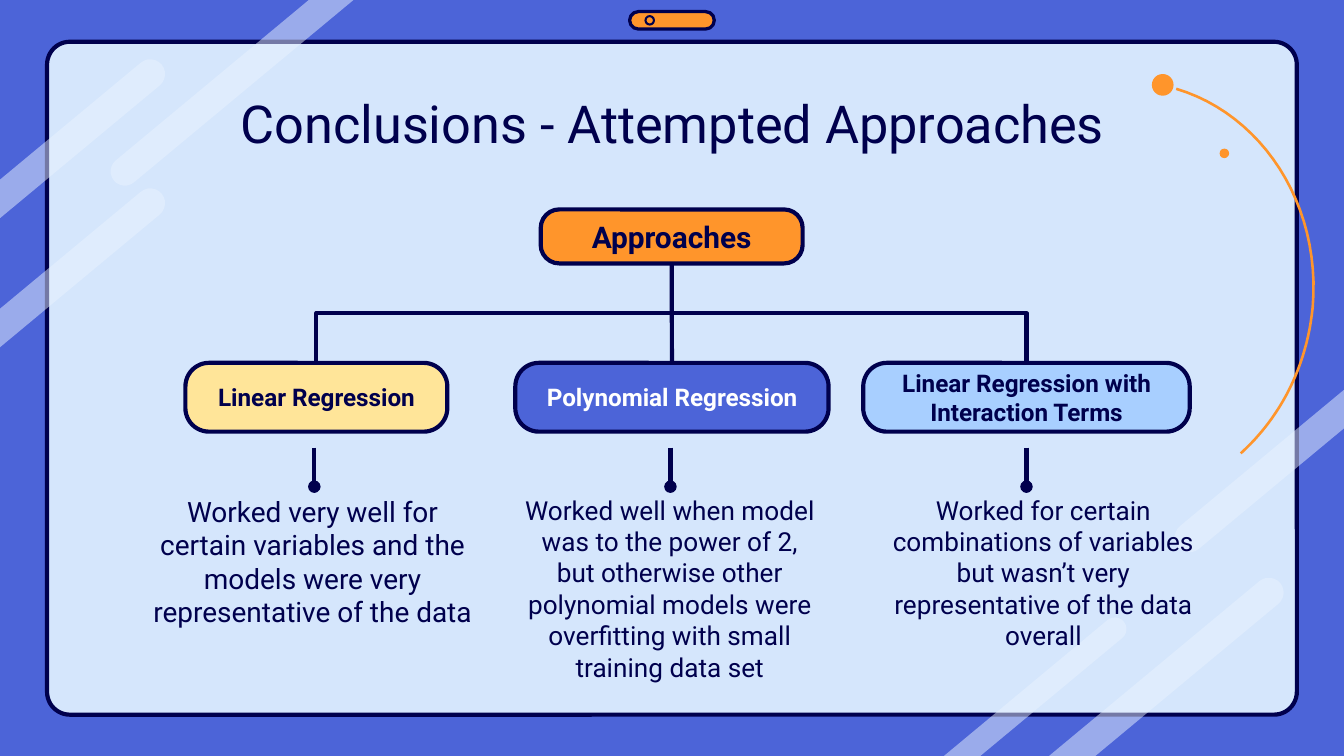
from math import atan2, cos, hypot, pi, sin

from lxml.etree import SubElement
from pptx import Presentation
from pptx.dml.color import RGBColor as Rgb
from pptx.enum.shapes import MSO_CONNECTOR as Link, MSO_SHAPE as Kind
from pptx.enum.text import MSO_ANCHOR as Anchor, PP_ALIGN as Align
from pptx.oxml.ns import qn
from pptx.util import Cm, Pt

HUES = {
    "navy": "00004D", "blue": "4C64D8", "pale": "D5E6FC", "ice": "E9F3FF",
    "orange": "FF952B", "cream": "FFE599", "sky": "A8CFFF", "white": "FFFFFF",
}
WIDE, HIGH = 25.4, 14.29
SLOPE = (0.77, -0.64)
FRAME = {"word_wrap": True, "margin_left": Cm(0.25), "margin_right": Cm(0.25),
         "margin_top": Cm(0.25), "margin_bottom": Cm(0.25)}


def hue(name):
    return Rgb.from_string(HUES[name])


def apply(item, look):
    for key, value in look.items():
        setattr(item, key, value)


def paint(shape, fill=None, line=None, width=2.25):
    shape.shadow.inherit = False
    if fill:
        shape.fill.solid()
        shape.fill.fore_color.rgb = hue(fill)
    else:
        shape.fill.background()
    if line:
        shape.line.color.rgb = hue(line)
        shape.line.width = Pt(width)
    else:
        shape.line.fill.background()
    return shape


def block(slide, kind, box, fill=None, line=None, width=2.25, round_=None):
    shape = slide.shapes.add_shape(kind, *map(Cm, box))
    if round_ is not None:
        shape.adjustments[0] = round_
    return paint(shape, fill, line, width)


def write(shape, text, size, color="navy", bold=False, anchor=Anchor.TOP):
    frame = shape.text_frame
    apply(frame, {**FRAME, "vertical_anchor": anchor})
    para = frame.paragraphs[0]
    para.alignment = Align.CENTER
    run = para.add_run()
    run.text = text
    apply(run.font, {"name": "Roboto", "size": Pt(size), "bold": bold})
    run.font.color.rgb = hue(color)


def label(slide, box, text, size):
    write(slide.shapes.add_textbox(*map(Cm, box)), text, size)


def trace(slide, points, close):
    spots = [(Cm(x), Cm(y)) for x, y in points]
    form = slide.shapes.build_freeform(*spots[0], scale=1.0)
    form.add_line_segments(spots[1:], close=close)
    return form.convert_to_shape()


def wire(slide, kind, start, end, dot=False):
    line = slide.shapes.add_connector(kind, *map(Cm, (*start, *end)))
    line.line.color.rgb = hue("navy")
    line.line.width = Pt(2.25)
    if dot:
        SubElement(line.line._get_or_add_ln(), qn("a:tailEnd"), type="oval")
    SubElement(line._element.spPr, qn("a:effectLst"))
    return line


def streak(slide, box, x, y, r, way):
    left, top, wide, high = box
    dx, dy = (part * way for part in SLOPE)
    edge_x = left + wide if dx > 0 else left
    edge_y = top + high if dy > 0 else top
    across = (edge_x - x) / dx < (edge_y - y) / dy
    turn = atan2(dy, dx) + pi / 2
    cap = [(x + r * cos(turn + pi * n / 12), y + r * sin(turn + pi * n / 12))
           for n in range(13)]

    def reach(spot):
        px, py = spot
        t = (edge_x - px) / dx if across else (edge_y - py) / dy
        return px + t * dx, py + t * dy

    shape = paint(trace(slide, [*cap, reach(cap[-1]), reach(cap[0])], True), "ice")
    tint = shape._element.spPr.find(qn("a:solidFill"))[0]
    SubElement(tint, qn("a:alpha"), val="50000")


def curve(a, b, c, d, steps=24):
    for n in range(steps + 1):
        t = n / steps
        u = 1 - t
        yield tuple(u**3 * p + 3 * u * u * t * q + 3 * u * t * t * r + t**3 * s
                    for p, q, r, s in zip(a, b, c, d))


def board(slide, box):
    left, top, wide, high = box
    block(slide, Kind.ROUNDED_RECTANGLE,
          (left + 0.89, top + 0.79, wide - 1.78, high - 1.57),
          "pale", "navy", round_=0.034)
    for mark in [(23.98, 11.2, 0.28, -1), (21.07, 11.89, 0.22, -1),
                 (2.36, 3.24, 0.27, 1), (2.84, 1.4, 0.28, -1),
                 (2.84, 3.84, 0.28, -1), (22.48, 10.16, 0.28, 1)]:
        x, y, r, way = mark
        streak(slide, box, left + x, top + y, r, way)


def clip(slide, box):
    left, top, _, high = box
    block(slide, Kind.ROUNDED_RECTANGLE, box, "orange", "navy", 1.75, 0.5)
    block(slide, Kind.OVAL, (left + 0.3, top + high / 2 - 0.08, 0.16, 0.16),
          None, "navy", 1.1)


def orbit(slide, box):
    left, top, _, _ = box
    parts = [[(0.46, 0.28), (2.07, 0.76), (3.2, 2.45), (3.04, 4.4)],
             [(3.04, 4.4), (2.93, 5.53), (2.43, 6.49), (1.68, 7.17)]]
    points = [(left + x, top + y) for part in parts for x, y in curve(*part)]
    paint(trace(slide, points, False), None, "orange", 1.4)
    block(slide, Kind.OVAL, (left, top, 0.41, 0.41), "orange")
    block(slide, Kind.OVAL, (left + 1.28, top + 1.41, 0.18, 0.18), "orange")


def node(slide, box, text, size, fill, color="navy"):
    shape = block(slide, Kind.ROUNDED_RECTANGLE, box, fill, "navy", round_=0.343)
    write(shape, text, size, color, True, Anchor.MIDDLE)
    return shape


def elbow(slide, start, end):
    (x, y), (ex, ey) = start, end
    mid_x, mid_y = (x + ex) / 2, (y + ey) / 2
    side = 1 if x < ex else -1
    run, rise = abs(ex - x) / 2, side * (y - ey) / 2
    line = wire(slide, Link.ELBOW, (mid_x - rise, mid_y - run),
                (mid_x + rise, mid_y + run))
    turn = 270 if side > 0 else 90
    line._element.spPr.find(qn("a:xfrm")).set("rot", str(turn * 60000))


def tree(slide, box):
    left, top, wide, _ = box
    mid = left + wide / 2
    row = top + 2.9
    root = node(slide, (mid - 2.48, top, 4.95, 1.02), "Approaches", 16, "orange")
    leaves = [
        (-6.72, 4.95, "Linear Regression", "cream", "navy", -6.79, 6.58, 15,
         "Worked very well for certain variables and the models were very "
         "representative of the data"),
        (0, 5.92, "Polynomial Regression", "blue", "white", -0.04, 6.17, 14,
         "Worked well when model was to the power of 2, but otherwise other "
         "polynomial models were overfitting with small training data set"),
        (6.7, 6.17, "Linear Regression with Interaction Terms", "sky", "navy",
         7.02, 6.83, 14,
         "Worked for certain combinations of variables but wasn’t very "
         "representative of the data overall"),
    ]
    for n, (off, span, name, fill, color, shift, room, size, note) in enumerate(leaves):
        x = mid + off
        leaf = node(slide, (x - span / 2, row, span, 1.3), name, 13, fill, color)
        if off:
            elbow(slide, (x, row), (mid, top + 1.02))
        else:
            trunk = wire(slide, Link.STRAIGHT, (mid, top + 1.02), (mid, row))
            trunk.begin_connect(root, 2)
            trunk.end_connect(leaf, 0)
        stem = mid - 0.03 + 6.73 * (n - 1)
        wire(slide, Link.STRAIGHT, (stem, row + 1.6), (stem, row + 2.34), True)
        label(slide, (mid + shift - room / 2, row + 2.23, room, 1.93), note, size)


def main():
    deck = Presentation()
    apply(deck, {"slide_width": Cm(WIDE), "slide_height": Cm(HIGH)})
    slide = deck.slides.add_slide(deck.slide_layouts[6])
    slide.background.fill.solid()
    slide.background.fill.fore_color.rgb = hue("blue")
    board(slide, (0, 0, WIDE, HIGH))
    clip(slide, (11.9, 0.22, 1.6, 0.33))
    orbit(slide, (21.77, 1.4, 3.07, 7.17))
    label(slide, (2.01, 1.47, 21.39, 1.6), "Conclusions - Attempted Approaches", 28)
    tree(slide, (2.62, 3.96, 20.16, 9))
    deck.save("out.pptx")


if __name__ == "__main__":
    main()
